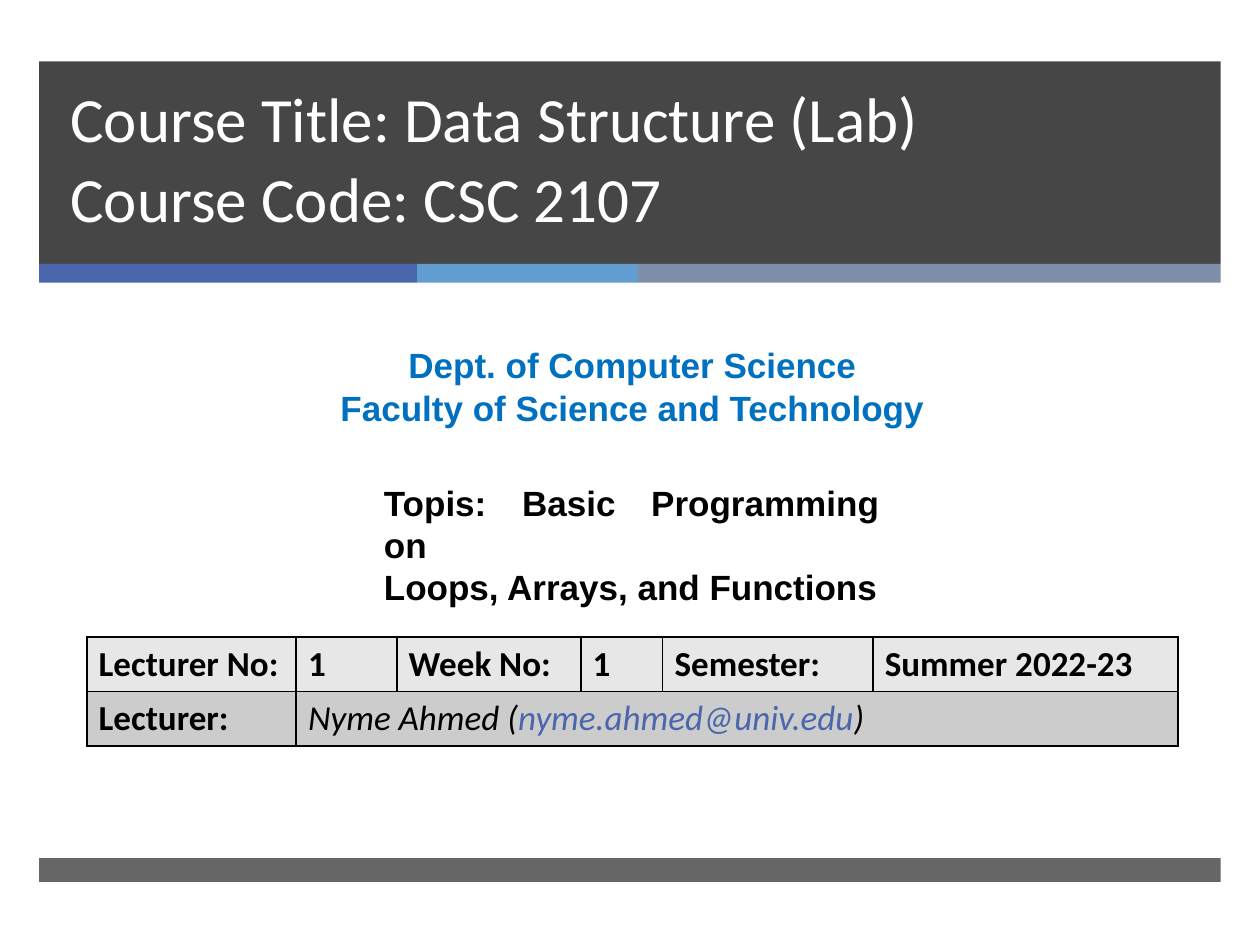
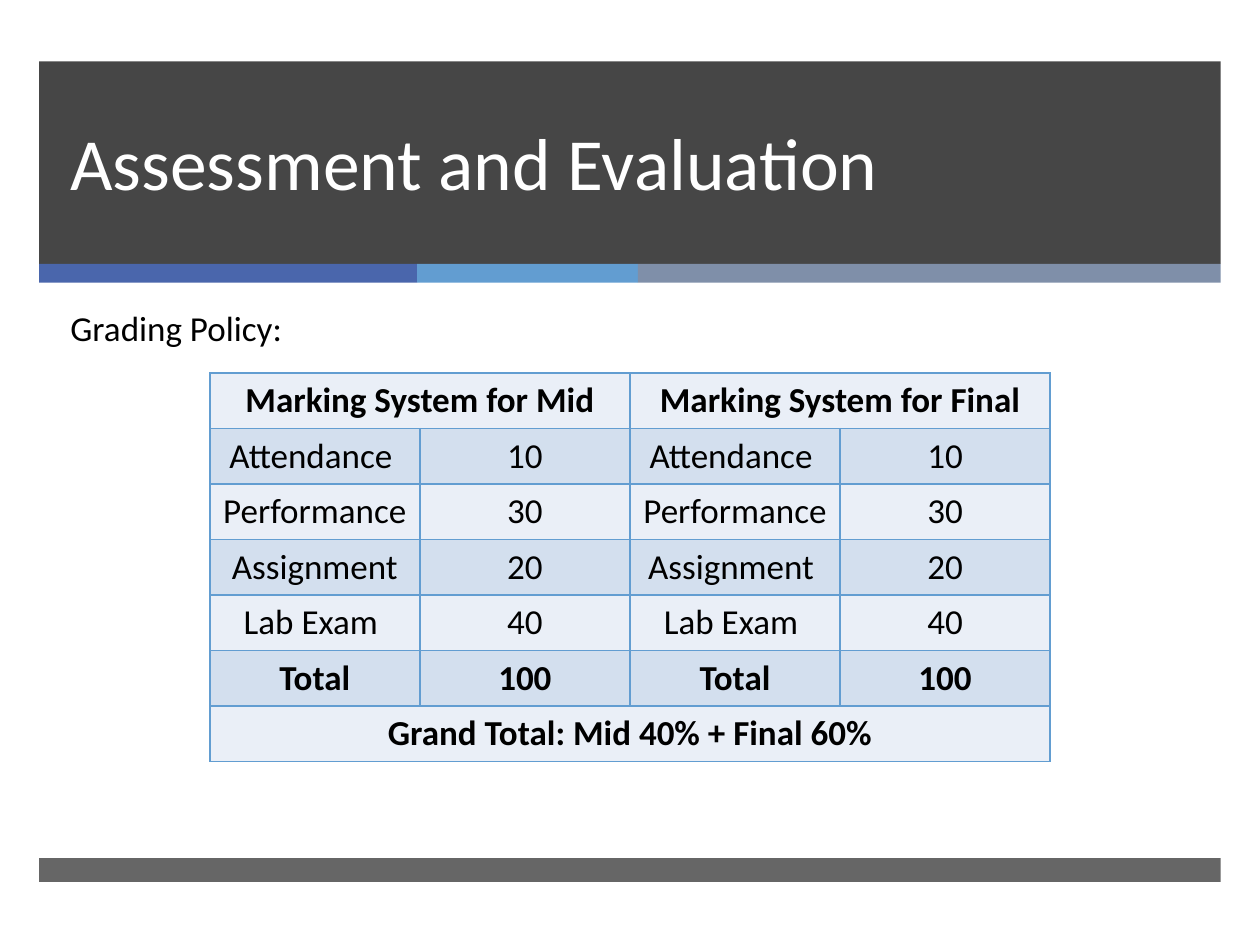
from dataclasses import dataclass

from lxml import etree
from pptx import Presentation
from pptx.dml.color import RGBColor
from pptx.enum.shapes import MSO_SHAPE
from pptx.enum.text import MSO_ANCHOR, PP_ALIGN
from pptx.oxml.ns import qn
from pptx.util import Cm, Pt

RECTANGLE = MSO_SHAPE.RECTANGLE
TOP, BOTTOM = MSO_ANCHOR.TOP, MSO_ANCHOR.BOTTOM
LEFT, CENTER, JUSTIFY = PP_ALIGN.LEFT, PP_ALIGN.CENTER, PP_ALIGN.JUSTIFY
BLANK_LAYOUT = 6


@dataclass(frozen=True)
class Theme:
    dark: str = "262626"
    white: str = "FFFFFF"
    black: str = "000000"
    indigo: str = "4A66AC"
    sky: str = "629DD1"
    slate: str = "7F8FA9"
    department: str = "0070C0"
    lecture_rows: tuple = ("E7E7E7", "CCCCCC")
    grading_rows: tuple = ("EAEFF7", "D3DFEE")
    body_font: str = "Calibri"
    cover_font: str = "Arial"
    course_size: int = 36
    title_size: int = 42
    body_size: int = 20
    title_spacing: int = 46
    border_width: int = 1


@dataclass(frozen=True)
class Box:
    left: float
    top: float
    width: float
    height: float

    def lengths(self):
        return [Cm(value) for value in (self.left, self.top, self.width, self.height)]

    def inside(self, left, top, width, height):
        return Box(self.left + left, self.top + top, width, height)


THEME = Theme()
PAGE = Box(0, 0, 25.4, 19.05)
FRAME = PAGE.inside(0.79, 1.24, 23.82, 16.54)
BODY = {"name": THEME.body_font, "size": Pt(THEME.body_size), "bold": False,
        "italic": False, "color": THEME.black}
STRONG = BODY | {"bold": True}
COVER = STRONG | {"name": THEME.cover_font}
TITLE = BODY | {"size": Pt(THEME.title_size), "color": THEME.white}


def write_runs(paragraph, pieces, alignment=LEFT):
    paragraph.alignment = alignment
    for text, text_format in pieces:
        for index, line in enumerate(text.split("\n")):
            if index:
                paragraph.add_line_break()
            run = paragraph.add_run()
            run.text = line
            for name, value in text_format.items():
                if name == "color":
                    run.font.color.rgb = RGBColor.from_string(value)
                else:
                    setattr(run.font, name, value)


def add_text(slide, box, lines, text_format, alignment=LEFT, anchor=TOP, spacing=None):
    frame = slide.shapes.add_textbox(*box.lengths()).text_frame
    frame.word_wrap = True
    frame.vertical_anchor = anchor
    for index, line in enumerate(lines):
        paragraph = frame.add_paragraph() if index else frame.paragraphs[0]
        paragraph.line_spacing = spacing
        write_runs(paragraph, [(line, text_format)], alignment)


def add_bar(slide, box, color, opacity=100):
    shape = slide.shapes.add_shape(RECTANGLE, *box.lengths())
    shape.shadow.inherit = False
    shape.fill.solid()
    shape.fill.fore_color.rgb = RGBColor.from_string(color)
    shape.line.fill.background()
    if opacity < 100:
        fill_color = shape.fill._xPr.find(qn("a:solidFill"))[0]
        etree.SubElement(fill_color, qn("a:alpha"), val=str(opacity * 1000))


def draw_frame(slide, box):
    add_bar(slide, box.inside(0, 0, box.width, 4.08), THEME.dark, 85)
    left = 0
    for width, color in ((7.62, THEME.indigo), (4.45, THEME.sky), (11.75, THEME.slate)):
        add_bar(slide, box.inside(left, 4.08, width, 0.38), color)
        left += width
    add_bar(slide, box.inside(0, box.height - 0.48, box.width, 0.48), THEME.dark, 70)


def draw_title(slide, box, text, text_format):
    add_text(slide, box, [text], text_format, anchor=BOTTOM, spacing=Pt(THEME.title_spacing))


def add_grid(slide, box, column_widths, row_count):
    frame = slide.shapes.add_table(row_count, len(column_widths), *box.lengths())
    table = frame.table
    table.first_row = False
    table.horz_banding = False
    for column, width in zip(table.columns, column_widths):
        column.width = Cm(width)
    for row in table.rows:
        row.height = Cm(box.height / row_count)
    return table


def style_grid(table, fills, border):
    for index, row in enumerate(table.rows):
        for cell in row.cells:
            properties = cell._tc.get_or_add_tcPr()
            for side in ("lnL", "lnR", "lnT", "lnB"):
                line = etree.SubElement(properties, qn(f"a:{side}"), w=str(Pt(THEME.border_width)))
                fill = etree.SubElement(line, qn("a:solidFill"))
                etree.SubElement(fill, qn("a:srgbClr"), val=border)
            cell.fill.solid()
            cell.fill.fore_color.rgb = RGBColor.from_string(fills[index % len(fills)])


def write_cell(table, row, column, pieces, alignment=LEFT, span=1):
    cell = table.cell(row, column)
    if span > 1:
        cell.merge(table.cell(row, column + span - 1))
    write_runs(cell.text_frame.paragraphs[0], pieces, alignment)


def draw_lecture_table(slide, box):
    table = add_grid(slide, box, (4.22, 2.03, 3.71, 1.65, 4.24, 6.15), 2)
    style_grid(table, THEME.lecture_rows, THEME.black)
    margins = {"margin_left": Cm(0.24), "margin_right": Cm(0.24),
               "margin_top": Cm(0.12), "margin_bottom": Cm(0.12)}
    for cell in table.iter_cells():
        for name, value in margins.items():
            setattr(cell, name, value)
    details = ("Lecturer No:", "1", "Week No:", "1", "Semester:", "Summer 2022-23")
    for column, text in enumerate(details):
        write_cell(table, 0, column, [(text, STRONG)])
    write_cell(table, 1, 0, [("Lecturer:", STRONG)])
    italic = BODY | {"italic": True}
    lecturer = [("Nyme Ahmed (", italic),
                ("nyme.ahmed@univ.edu", italic | {"color": THEME.indigo}),
                (")", italic)]
    write_cell(table, 1, 1, lecturer, span=5)


def draw_grading_table(slide, box):
    marks = (("Attendance ", "Attendance ", "10"),
             ("Performance ", "Performance ", "30"),
             ("Assignment", "Assignment ", "20"),
             ("Lab Exam ", "Lab Exam ", "40"),
             ("Total", "Total", "100"))
    table = add_grid(slide, box, [box.width / 4] * 4, len(marks) + 2)
    style_grid(table, THEME.grading_rows, THEME.sky)
    for term, name in enumerate(("Mid", "Final")):
        heading = f"Marking System for {name}"
        write_cell(table, 0, 2 * term, [(heading, STRONG)], CENTER, span=2)
        for row, mark in enumerate(marks, start=1):
            text_format = STRONG if mark[term] == "Total" else BODY
            write_cell(table, row, 2 * term, [(mark[term], text_format)], CENTER)
            write_cell(table, row, 2 * term + 1, [(mark[2], text_format)], CENTER)
    grand_total = [("Grand Total: Mid 40% + Final 60%", STRONG)]
    write_cell(table, len(marks) + 1, 0, grand_total, CENTER, span=4)


def draw_cover(slide, box):
    draw_frame(slide, FRAME)
    draw_title(slide, box.inside(1.17, 1.85, 21.69, 3.02),
               "Course Title: Data Structure (Lab)\nCourse Code: CSC 2107",
               TITLE | {"size": Pt(THEME.course_size)})
    add_text(slide, box.inside(1.75, 6.81, 22, 2.82),
             ["Dept. of Computer Science", "Faculty of Science and Technology"],
             COVER | {"color": THEME.department}, CENTER)
    draw_lecture_table(slide, box.inside(1.75, 12.84, 22, 2.2))
    add_text(slide, box.inside(7.49, 9.58, 10.49, 1.96),
             ["Topis: Basic Programming on\nLoops, Arrays, and Functions"], COVER, JUSTIFY)


def draw_assessment(slide, box):
    draw_frame(slide, FRAME)
    draw_title(slide, box.inside(1.17, 1.24, 21.69, 3.02), "Assessment and Evaluation", TITLE)
    add_text(slide, box.inside(1.17, 6.05, 9.78, 1.47), ["Grading Policy:"], BODY)
    draw_grading_table(slide, box.inside(4.23, 7.52, 16.94, 7.84))


def main():
    presentation = Presentation()
    presentation.slide_width = Cm(PAGE.width)
    presentation.slide_height = Cm(PAGE.height)
    for draw in (draw_cover, draw_assessment):
        slide = presentation.slides.add_slide(presentation.slide_layouts[BLANK_LAYOUT])
        draw(slide, PAGE)
    presentation.save("out.pptx")


if __name__ == "__main__":
    main()
